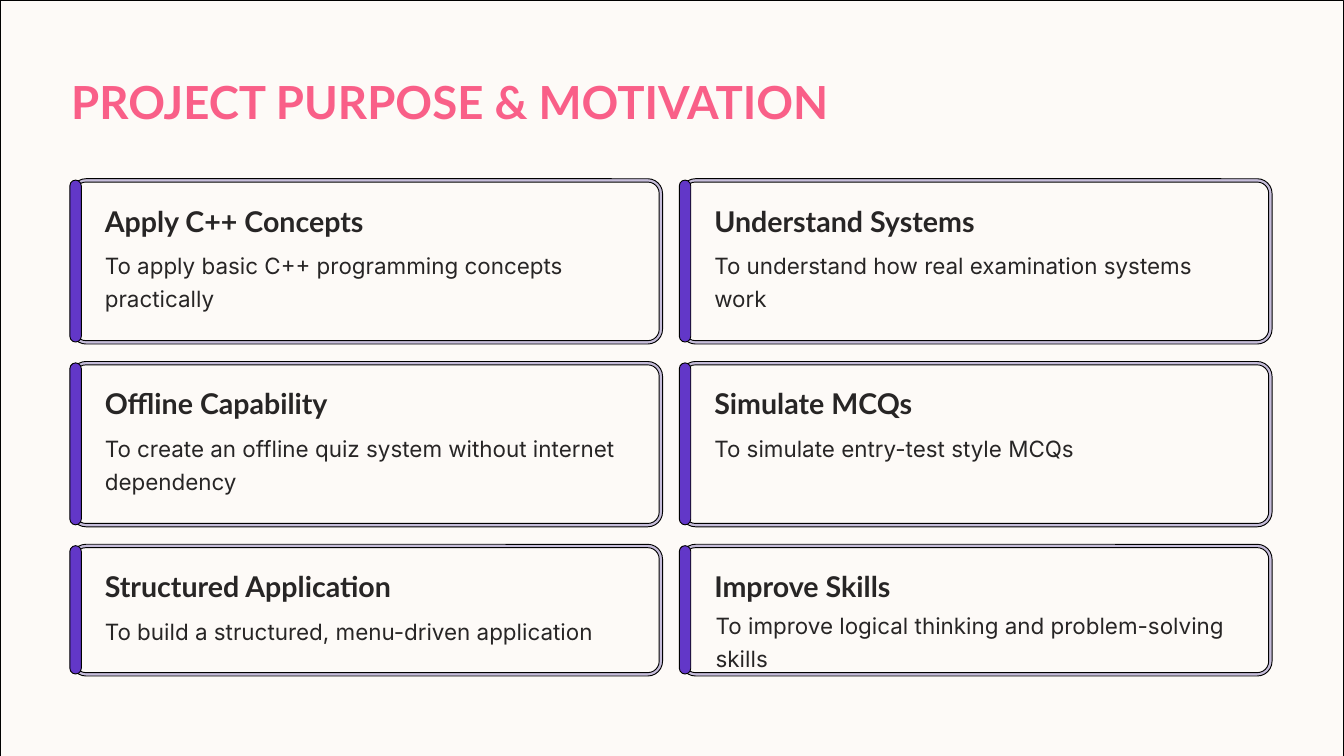
"""Build the project purpose and motivation slide with its grid of six cards."""
from dataclasses import dataclass

from pptx import Presentation
from pptx.dml.color import RGBColor
from pptx.enum.shapes import MSO_SHAPE
from pptx.enum.text import MSO_AUTO_SIZE
from pptx.slide import Slide
from pptx.util import Inches, Pt

SLIDE_WIDTH, SLIDE_HEIGHT = 20, 11.25
COLORS = {
    "background": "FDFAF7",
    "outline": "000000",
    "border": "C6BDDA",
    "accent": "6237C8",
    "title": "F95F88",
    "ink": "272525",
}
GRID_LEFT, GRID_TOP = 1.06, 2.66
COLUMN_PITCH, ROW_PITCH = 9.07, 2.72
CARD_WIDTH = 8.8
ROW_HEIGHTS = (2.46, 2.46, 1.96)
BORDER = 0.05
OUTER_RADIUS = 0.22
ACCENT_WIDTH = 0.17
TEXT_INSET = 0.5


@dataclass(frozen=True)
class Area:
    left: float
    top: float
    width: float
    height: float

    def inset(self, margin: float) -> "Area":
        return Area(self.left + margin, self.top + margin,
                    self.width - 2 * margin, self.height - 2 * margin)

    def emu(self) -> list[int]:
        return [Inches(v) for v in (self.left, self.top, self.width, self.height)]


@dataclass(frozen=True)
class TextStyle:
    font: str
    size: float
    leading: float
    color: str
    bold: bool


@dataclass(frozen=True)
class Card:
    column: int
    row: int
    heading: str
    purpose: str
    heading_width: float = 4.26
    purpose_lines: int = 2
    purpose_shift: tuple[float, float] = (0, 0)

    def area(self) -> Area:
        return Area(GRID_LEFT + self.column * COLUMN_PITCH,
                    GRID_TOP + self.row * ROW_PITCH,
                    CARD_WIDTH, ROW_HEIGHTS[self.row])


TITLE = TextStyle("Lato", 48.8, 61.2, "title", True)
HEADING = TextStyle("Lato", 30.6, 38.1, "ink", True)
PURPOSE = TextStyle("Inter", 24, 35.6, "ink", False)

CARDS = (
    Card(0, 0, "Apply C++ Concepts",
         "To apply basic C++ programming concepts practically"),
    Card(1, 0, "Understand Systems",
         "To understand how real examination systems work"),
    Card(0, 1, "Offline Capability",
         "To create an offline quiz system without internet dependency"),
    Card(1, 1, "Simulate MCQs", "To simulate entry-test style MCQs",
         purpose_lines=1),
    Card(0, 2, "Structured Application",
         "To build a structured, menu-driven application",
         heading_width=4.52, purpose_lines=1),
    Card(1, 2, "Improve Skills",
         "To improve logical thinking and problem-solving skills",
         purpose_shift=(0.02, -0.09)),
)


def add_panel(slide: Slide, area: Area, fill: str, radius: float = 0) -> None:
    kind = MSO_SHAPE.ROUNDED_RECTANGLE if radius else MSO_SHAPE.RECTANGLE
    panel = slide.shapes.add_shape(kind, *area.emu())
    if radius:
        panel.adjustments[0] = radius / min(area.width, area.height)
    panel.shadow.inherit = False
    panel.fill.solid()
    panel.fill.fore_color.rgb = RGBColor.from_string(COLORS[fill])
    panel.line.color.rgb = RGBColor.from_string(COLORS["outline"])
    panel.line.width = Pt(1)


def add_text(slide: Slide, area: Area, wording: str, style: TextStyle) -> None:
    frame = slide.shapes.add_textbox(*area.emu()).text_frame
    frame.margin_left = frame.margin_right = 0
    frame.margin_top = frame.margin_bottom = 0
    frame.word_wrap = True
    frame.auto_size = MSO_AUTO_SIZE.SHAPE_TO_FIT_TEXT
    paragraph = frame.paragraphs[0]
    paragraph.line_spacing = Pt(style.leading)
    run = paragraph.add_run()
    run.text = wording
    run.font.name = style.font
    run.font.size = Pt(style.size)
    run.font.bold = style.bold
    run.font.color.rgb = RGBColor.from_string(COLORS[style.color])


def add_card(slide: Slide, card: Card) -> None:
    area = card.area()
    add_panel(slide, area, "border", OUTER_RADIUS)
    add_panel(slide, area.inset(BORDER), "background", OUTER_RADIUS - BORDER)
    accent = Area(area.left - 0.02, area.top + 0.02, ACCENT_WIDTH, area.height - 0.05)
    add_panel(slide, accent, "accent", ACCENT_WIDTH / 2)
    text_left = area.left + TEXT_INSET
    add_text(slide, Area(text_left, area.top + 0.35, card.heading_width, 0.55),
             card.heading, HEADING)
    shift_x, shift_y = card.purpose_shift
    purpose = Area(text_left + shift_x, area.top + 1 + shift_y,
                   7.93, 0.48 * card.purpose_lines)
    add_text(slide, purpose, card.purpose, PURPOSE)


def main() -> None:
    deck = Presentation()
    deck.slide_width, deck.slide_height = Inches(SLIDE_WIDTH), Inches(SLIDE_HEIGHT)
    slide = deck.slides.add_slide(deck.slide_layouts[6])
    add_panel(slide, Area(0, 0, SLIDE_WIDTH, SLIDE_HEIGHT), "background")
    add_text(slide, Area(GRID_LEFT, 1.07, 15.37, 0.84),
             "PROJECT PURPOSE & MOTIVATION", TITLE)
    for card in CARDS:
        add_card(slide, card)
    deck.save("out.pptx")


if __name__ == "__main__":
    main()
